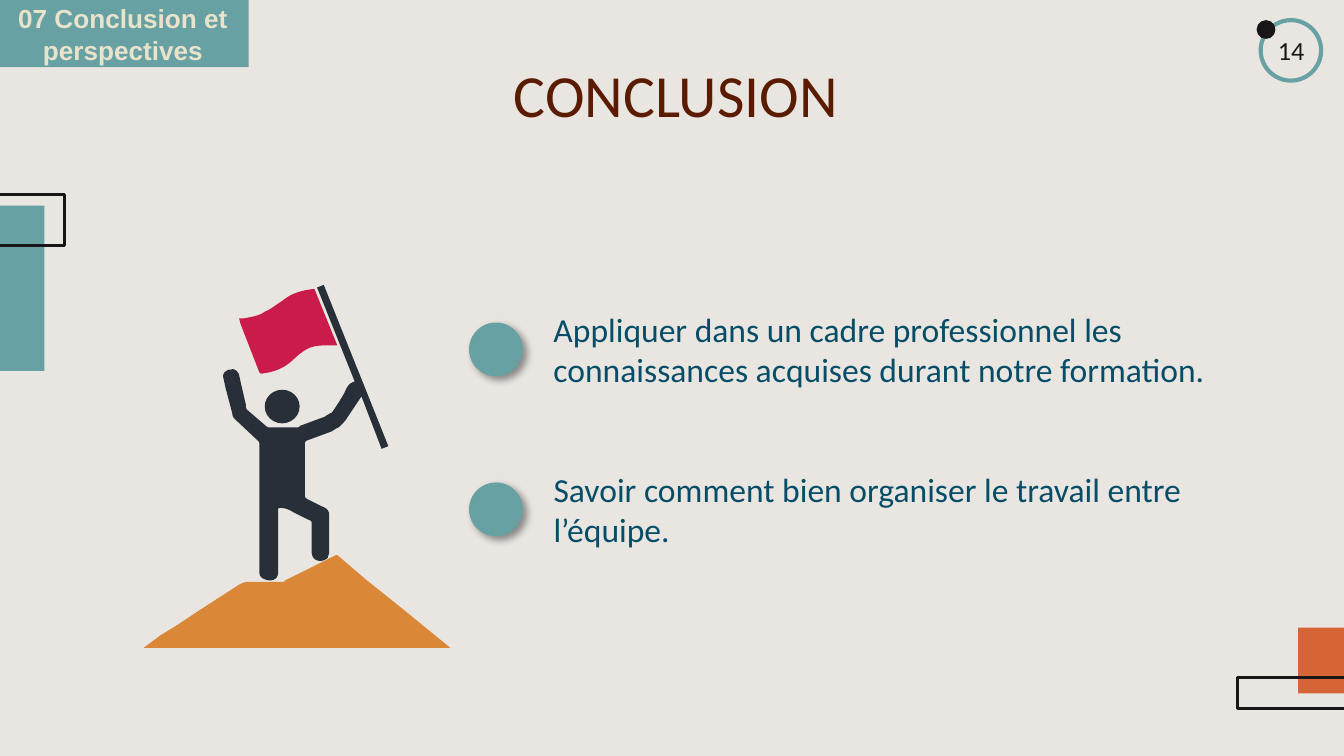
"""Build the conclusion slide with its mountaineer illustration and two takeaways."""
from dataclasses import dataclass
from typing import Optional

from lxml.etree import SubElement
from pptx import Presentation
from pptx.dml.color import RGBColor
from pptx.enum.shapes import MSO_SHAPE as Shape
from pptx.enum.text import MSO_ANCHOR as Anchor, MSO_AUTO_SIZE as AutoSize, PP_ALIGN as Align
from pptx.oxml.ns import qn
from pptx.util import Inches, Pt

TEAL, INK, ORANGE = "68A1A4", "191617", "D56534"
NAVY, EARTH, CRIMSON = "282F39", "DA8737", "CB1B4A"


@dataclass(frozen=True)
class Box:
    left: float
    top: float
    width: float
    height: float

    def emu(self) -> list:
        return [Inches(v) for v in (self.left, self.top, self.width, self.height)]


@dataclass(frozen=True)
class Figure:
    kind: Shape
    box: Box
    fill: Optional[str] = None
    line: Optional[str] = None
    weight: float = 1.5


@dataclass(frozen=True)
class Outline:
    """Segments hold two numbers for a line and six for a cubic curve."""
    fill: str
    start: tuple
    segments: tuple


@dataclass(frozen=True)
class Label:
    text: str
    box: Box
    color: str
    size: float
    font: str = "Calibri"
    bold: bool = False
    align: Align = Align.LEFT
    anchor: Anchor = Anchor.TOP
    inset: float = 0.05
    grow: bool = True


def rgb(value: str) -> RGBColor:
    return RGBColor.from_string(value)


def apply(target, formats: dict) -> None:
    for name, value in formats.items():
        setattr(target, name, value)


def paint(shape, fill: Optional[str], line: Optional[str] = None, weight: float = 1.5) -> None:
    shape.shadow.inherit = False
    for part, color in ((shape.fill, fill), (shape.line.fill, line)):
        if color:
            part.solid()
            part.fore_color.rgb = rgb(color)
        else:
            part.background()
    if line:
        shape.line.width = Pt(weight)


def draw_figure(slide, figure: Figure):
    shape = slide.shapes.add_shape(figure.kind, *figure.box.emu())
    paint(shape, figure.fill, figure.line, figure.weight)
    return shape


def curve_points(start: tuple, segment: tuple, steps: int = 8) -> list:
    if len(segment) == 2:
        return [segment]
    corners = [start, segment[:2], segment[2:4], segment[4:]]
    points = []
    for step in range(1, steps + 1):
        t = step / steps
        weights = ((1 - t) ** 3, 3 * t * (1 - t) ** 2, 3 * t * t * (1 - t), t ** 3)
        points.append(tuple(sum(w * c[axis] for w, c in zip(weights, corners)) for axis in (0, 1)))
    return points


def draw_outline(slide, outline: Outline) -> None:
    points = [outline.start]
    for segment in outline.segments:
        points += curve_points(points[-1], segment)
    scaled = [(Inches(x), Inches(y)) for x, y in points]
    builder = slide.shapes.build_freeform(*scaled[0])
    builder.add_line_segments(scaled[1:], close=True)
    paint(builder.convert_to_shape(), outline.fill)


def write(shape, label: Label) -> None:
    frame = shape.text_frame
    frame.text = label.text
    apply(frame, {
        "word_wrap": True, "vertical_anchor": label.anchor,
        "auto_size": AutoSize.SHAPE_TO_FIT_TEXT if label.grow else AutoSize.NONE,
        "margin_left": Inches(0.1), "margin_right": Inches(0.1),
        "margin_top": Inches(label.inset), "margin_bottom": Inches(label.inset),
    })
    paragraph = frame.paragraphs[0]
    paragraph.alignment = label.align
    font = paragraph.runs[0].font
    apply(font, {"name": label.font, "size": Pt(label.size), "bold": label.bold})
    font.color.rgb = rgb(label.color)


def draw_label(slide, label: Label) -> None:
    write(slide.shapes.add_textbox(*label.box.emu()), label)


def cast_shadow(shape) -> None:
    effects = shape._element.spPr.find(qn("a:effectLst"))
    shadow = SubElement(effects, qn("a:outerShdw"), blurRad=str(Pt(4)), dist=str(Pt(3)),
                        dir=str(45 * 60000), algn="tl", rotWithShape="0")
    color = SubElement(shadow, qn("a:srgbClr"), val="000000")
    SubElement(color, qn("a:alpha"), val="40000")


SIDE_ACCENTS = (
    Figure(Shape.RECTANGLE, Box(-0.57, 1.53, 0.9, 1.23), fill=TEAL),
    Figure(Shape.RECTANGLE, Box(-0.24, 1.45, 0.72, 0.38), line=INK),
    Figure(Shape.RECTANGLE, Box(9.66, 4.67, 0.37, 0.49), fill=ORANGE),
    Figure(Shape.RECTANGLE, Box(9.21, 5.04, 1, 0.23), line=INK),
)
PAGE_BADGE = (
    Figure(Shape.OVAL, Box(9.38, 0.15, 0.45, 0.45), line=TEAL, weight=2.25),
    Figure(Shape.OVAL, Box(9.35, 0.15, 0.14, 0.14), fill=INK),
)
HEAD = Figure(Shape.OVAL, Box(1.97, 2.9, 0.26, 0.25), fill=NAVY)
MOUNTAIN = Outline(EARTH, (1.19, 4.73), (
    (1.15, 4.76, 1.07, 4.82, 1.07, 4.82), (3.35, 4.82), (3.02, 4.55), (2.72, 4.31),
    (2.51, 4.13), (2.5, 4.13), (2.12, 4.32), (2.12, 4.33, 2.11, 4.33, 2.1, 4.33),
    (1.84, 4.33), (1.82, 4.33, 1.8, 4.34, 1.78, 4.35), (1.47, 4.55), (1.32, 4.65),
))
CLIMBER = Outline(NAVY, (2.69, 2.95), (
    (2.84, 3.34), (2.89, 3.32), (2.41, 2.12), (2.36, 2.14), (2.64, 2.84),
    (2.59, 2.85, 2.58, 2.89, 2.56, 2.93), (2.53, 2.98, 2.5, 3.03, 2.47, 3.07),
    (2.45, 3.08, 2.43, 3.09, 2.42, 3.1), (2.23, 3.17), (2.23, 3.18, 2.22, 3.18, 2.21, 3.18),
    (2, 3.18), (1.99, 3.18, 1.98, 3.17, 1.98, 3.17), (1.84, 3.05),
    (1.83, 3.04, 1.83, 3.02, 1.83, 3.01), (1.79, 2.84), (1.78, 2.79),
    (1.77, 2.76, 1.74, 2.74, 1.72, 2.75), (1.68, 2.75, 1.66, 2.78, 1.66, 2.8),
    (1.68, 2.89), (1.73, 3.08), (1.73, 3.1, 1.74, 3.11, 1.75, 3.12), (1.92, 3.28),
    (1.93, 3.29, 1.93, 3.29, 1.93, 3.31), (1.93, 4.25),
    (1.93, 4.28, 1.94, 4.3, 1.97, 4.31), (2.01, 4.33, 2.07, 4.32, 2.07, 4.26),
    (2.07, 3.8), (2.07, 3.78, 2.07, 3.78, 2.09, 3.78), (2.12, 3.78, 2.15, 3.79, 2.18, 3.81),
    (2.3, 3.87), (2.31, 3.87, 2.32, 3.88, 2.32, 3.89), (2.32, 4.11),
    (2.32, 4.13, 2.33, 4.16, 2.36, 4.17), (2.39, 4.18, 2.42, 4.17, 2.44, 4.15),
    (2.44, 4.14, 2.45, 4.12, 2.45, 4.11), (2.45, 3.83),
    (2.45, 3.8, 2.43, 3.78, 2.4, 3.77), (2.28, 3.71), (2.27, 3.7, 2.27, 3.7, 2.27, 3.69),
    (2.27, 3.3), (2.27, 3.29, 2.27, 3.29, 2.28, 3.28), (2.47, 3.21), (2.5, 3.19),
    (2.53, 3.18, 2.55, 3.15, 2.57, 3.13),
))
FLAG = Outline(CRIMSON, (2.51, 2.57), (
    (2.34, 2.15), (2.25, 2.16, 2.17, 2.18, 2.1, 2.24), (2.05, 2.27, 2.02, 2.3, 1.97, 2.32),
    (1.93, 2.35, 1.87, 2.36, 1.81, 2.37), (1.78, 2.37), (1.79, 2.41), (1.93, 2.77),
    (1.94, 2.78, 1.94, 2.78, 1.95, 2.78), (2.04, 2.77, 2.12, 2.74, 2.19, 2.67),
    (2.22, 2.64, 2.26, 2.61, 2.3, 2.59), (2.35, 2.57, 2.4, 2.57, 2.46, 2.57),
))
TITLE = Label("CONCLUSION", Box(1.83, 0.24, 6.4, 0.92), "5A1B00", 32, align=Align.CENTER,
              anchor=Anchor.MIDDLE, inset=0.1, grow=False)
PAGE_NUMBER = Label("14", Box(9.41, 0.24, 0.41, 0.26), INK, 14,
                    anchor=Anchor.MIDDLE, inset=0.1, grow=False)
SECTION_BAND = Figure(Shape.RECTANGLE, Box(-0.03, 0, 1.88, 0.5), fill=TEAL)
SECTION = Label("07 Conclusion et perspectives", Box(-0.24, -0.03, 2.31, 0.57), "E9E3CB", 14,
                font="Arial", bold=True, align=Align.CENTER)
TAKEAWAYS = (
    ("Appliquer dans un cadre professionnel les connaissances acquises durant notre formation.", 5.17),
    ("Savoir comment bien organiser le travail entre l’équipe.", 5.59),
)


def main() -> None:
    deck = Presentation()
    apply(deck, {"slide_width": Inches(10), "slide_height": Inches(10 * 9 / 16)})
    slide = deck.slides.add_slide(deck.slide_layouts[5])
    slide.background.fill.solid()
    slide.background.fill.fore_color.rgb = rgb("E9E6E1")
    title = slide.shapes.title
    apply(title, dict(zip(("left", "top", "width", "height"), TITLE.box.emu())))
    write(title, TITLE)
    for figure in SIDE_ACCENTS + PAGE_BADGE:
        draw_figure(slide, figure)
    draw_label(slide, PAGE_NUMBER)
    for outline in (MOUNTAIN, CLIMBER, FLAG):
        draw_outline(slide, outline)
    draw_figure(slide, HEAD)
    for row, (takeaway, width) in enumerate(TAKEAWAYS):
        top = 2.25 + 1.19 * row
        cast_shadow(draw_figure(slide, Figure(Shape.OVAL, Box(3.49, top + 0.15, 0.4, 0.4), fill=TEAL)))
        draw_label(slide, Label(takeaway, Box(4.02, top, width, 0.71), "074D67", 18))
    draw_figure(slide, SECTION_BAND)
    draw_label(slide, SECTION)
    deck.save("out.pptx")


if __name__ == "__main__":
    main()
